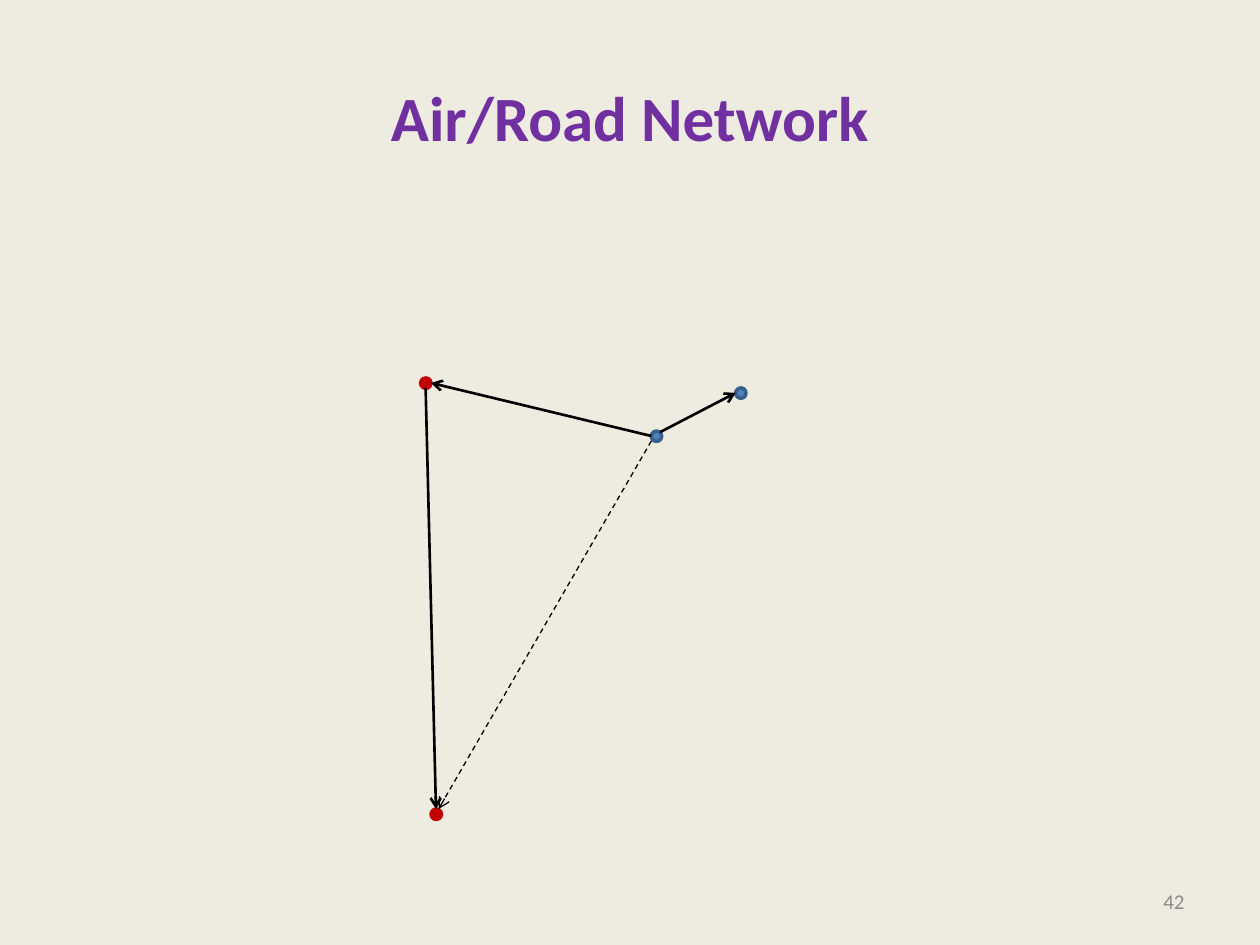
from lxml import etree
from pptx import Presentation
from pptx import util as u
from pptx.dml.color import RGBColor
from pptx.enum import dml, shapes, text
from pptx.oxml.ns import qn

NODE_SIZE = 0.21
BLUE, BLUE_EDGE, RED, BLACK = "4F81BD", "3A5F8C", "C00000", "000000"

# Left and top of each node in cm, fill, outline
NODES = [
    (13.13, 8.69, BLUE, BLUE_EDGE),
    (14.83, 7.82, BLUE, BLUE_EDGE),
    (8.69, 16.31, RED, RED),
    (8.48, 7.62, RED, RED),
]

# Start and end of each solid route in cm
ROAD_ROUTES = [
    ((13.31, 8.71), (14.83, 7.92)),
    ((13.13, 8.79), (8.69, 7.72)),
    ((8.58, 7.82), (8.79, 16.31)),
]
AIR_ROUTE = ((13.13, 8.89), (8.84, 16.31))


def color(hex_value):
    return RGBColor.from_string(hex_value)


def add_text(slide, content, left, top, width, height, *, size, hex_color,
             align, bold=False):
    box = slide.shapes.add_textbox(u.Cm(left), u.Cm(top), u.Cm(width), u.Cm(height))
    frame = box.text_frame
    frame.word_wrap = True
    frame.vertical_anchor = text.MSO_ANCHOR.MIDDLE
    paragraph = frame.paragraphs[0]
    paragraph.alignment = align
    run = paragraph.add_run()
    run.text = content
    run.font.name = "Calibri"
    run.font.size = u.Pt(size)
    run.font.bold = bold
    run.font.color.rgb = color(hex_color)


def add_node(slide, left, top, fill, outline):
    node = slide.shapes.add_shape(
        shapes.MSO_SHAPE.OVAL, u.Cm(left), u.Cm(top), u.Cm(NODE_SIZE), u.Cm(NODE_SIZE))
    node.shadow.inherit = False
    node.fill.solid()
    node.fill.fore_color.rgb = color(fill)
    node.line.color.rgb = color(outline)
    node.line.width = u.Pt(2)


def add_arrow(slide, start, end, width=1.5, dash=None):
    points = [u.Cm(value) for value in (*start, *end)]
    arrow = slide.shapes.add_connector(shapes.MSO_CONNECTOR.STRAIGHT, *points)
    arrow.line.color.rgb = color(BLACK)
    arrow.line.width = u.Pt(width)
    if dash is not None:
        arrow.line.dash_style = dash
    # Open arrowhead, no shadow
    properties = arrow._element.spPr
    etree.SubElement(properties.find(qn("a:ln")), qn("a:tailEnd"), type="arrow")
    etree.SubElement(properties, qn("a:effectLst"))


def main():
    presentation = Presentation()
    presentation.slide_width = u.Cm(25.4)
    presentation.slide_height = u.Cm(19.05)
    slide = presentation.slides.add_slide(presentation.slide_layouts[6])
    slide.background.fill.solid()
    slide.background.fill.fore_color.rgb = color("EEECE1")

    # Title and slide number
    add_text(slide, "Air/Road Network", 1.27, 0.76, 22.86, 3.18, size=36,
             hex_color="7030A0", align=text.PP_ALIGN.CENTER, bold=True)
    add_text(slide, "42", 18.2, 17.66, 5.93, 1.01, size=12,
             hex_color="8C8C8C", align=text.PP_ALIGN.RIGHT)

    # Network nodes
    for node in NODES:
        add_node(slide, *node)

    # Routes
    for start, end in ROAD_ROUTES:
        add_arrow(slide, start, end)
    add_arrow(slide, *AIR_ROUTE, width=0.75, dash=dml.MSO_LINE.DASH)

    presentation.save("out.pptx")


if __name__ == "__main__":
    main()
